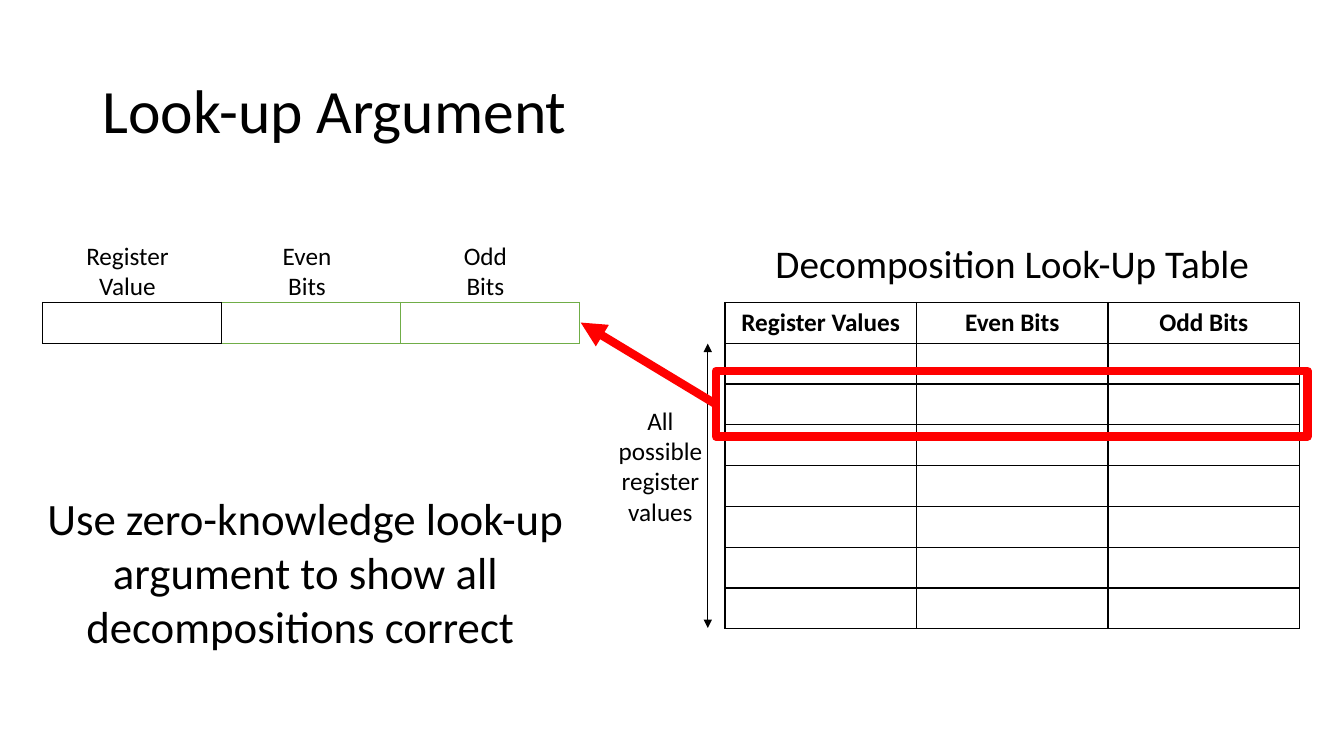
from lxml import etree
from pptx import Presentation
from pptx.dml.color import RGBColor
from pptx.enum.shapes import MSO_CONNECTOR, MSO_SHAPE
from pptx.enum.text import MSO_ANCHOR, PP_ALIGN
from pptx.oxml.ns import qn
from pptx.util import Pt

PX = 9144  # 100 px to the inch
FONT = "Calibri"
BLACK = RGBColor(0x00, 0x00, 0x00)
WHITE = RGBColor(0xFF, 0xFF, 0xFF)
GREEN = RGBColor(0x70, 0xAD, 0x47)
RED = RGBColor(0xFF, 0x00, 0x00)
LEFT, CENTER = PP_ALIGN.LEFT, PP_ALIGN.CENTER
TOP, MIDDLE = MSO_ANCHOR.TOP, MSO_ANCHOR.MIDDLE
STRAIGHT, RECT = MSO_CONNECTOR.STRAIGHT, MSO_SHAPE.RECTANGLE

TITLE = "Look-up Argument"
LABELS = [["Register Value"], ["Even", "Bits"], ["Odd", "Bits"]]
HEADS = ["Register Values", "Even Bits", "Odd Bits"]
NOTES = [  # box, size, text
    ((719, 233, 570, 57), 28, "Decomposition Look-Up Table"),
    ((599, 397, 112, 131), 18, "All possible register values"),
    ((35, 482, 536, 172), 32,
     "Use zero-knowledge look-up argument to show all decompositions correct "),
]
RECORD = (42, 300, 533, 41)
LOOKUP = (719, 300, 570, 324)
EMPTY = 7  # rows below the header
LABEL = (70, 233, 113, 71)
FRAME = (710, 368, 587, 65)
SPAN = (702, 341, 702, 623)
MATCH = (710, 401, 576, 320)


def emu(box):
    return [v * PX for v in box]


def style(para, size, align=CENTER, bold=False):
    para.alignment = align
    font = para.font
    font.name, font.size, font.bold = FONT, Pt(size), bold
    font.color.rgb = BLACK


def add_text(slide, box, size, lines, align=CENTER, anchor=TOP):
    frame = slide.shapes.add_textbox(*emu(box)).text_frame
    frame.word_wrap = True
    frame.vertical_anchor = anchor
    frame.text = "\n".join(lines)
    for para in frame.paragraphs:
        style(para, size, align)
    return frame


def edge(cell, colors):
    """Set 1 pt cell borders, colours in the order left, right, top, bottom."""
    props = cell._tc.get_or_add_tcPr()
    for spot, (side, color) in enumerate(zip("LRTB", colors)):
        line = etree.Element(qn(f"a:ln{side}"), w=str(Pt(1)))
        fill = etree.SubElement(line, qn("a:solidFill"))
        etree.SubElement(fill, qn("a:srgbClr"), val=str(color))
        props.insert(spot, line)


def add_grid(slide, box, rows, borders):
    """Add a white table; borders holds the edge colours of each column."""
    table = slide.shapes.add_table(rows, len(borders), *emu(box)).table
    table.first_row = table.horz_banding = False
    for row in table.rows:
        for cell, colors in zip(row.cells, borders):
            cell.fill.solid()
            cell.fill.fore_color.rgb = WHITE
            edge(cell, colors)
            style(cell.text_frame.paragraphs[0], 18)
    return table


def add_line(slide, ends, color, width, tips):
    link = slide.shapes.add_connector(STRAIGHT, *emu(ends))
    link.line.color.rgb = color
    link.line.width = Pt(width)
    for tip in tips:
        etree.SubElement(link.line._get_or_add_ln(), qn(f"a:{tip}"), type="triangle")
    etree.SubElement(link._element.spPr, qn("a:effectLst"))


def main():
    deck = Presentation()
    deck.slide_width, deck.slide_height = emu((1333, 750))
    slide = deck.slides.add_slide(deck.slide_layouts[6])

    title = add_text(slide, (92, 40, 1150, 145), 44, [TITLE], LEFT, MIDDLE)
    title.paragraphs[0].line_spacing = 0.9

    plain, green = [BLACK] * 4, [GREEN] * 4
    add_grid(slide, RECORD, 1, [plain, [BLACK] + green[1:], green])
    left, *rest = LABEL
    step = RECORD[2] / len(LABELS)
    for i, lines in enumerate(LABELS):
        add_text(slide, (round(left + i * step), *rest), 18, lines)

    table = add_grid(slide, LOOKUP, 1 + EMPTY, [plain] * len(HEADS))
    for cell, head in zip(table.rows[0].cells, HEADS):
        cell.text = head
        style(cell.text_frame.paragraphs[0], 18, bold=True)

    for box, size, text in NOTES:
        add_text(slide, box, size, [text])

    add_line(slide, SPAN, BLACK, 0.5, ["headEnd", "tailEnd"])
    frame = slide.shapes.add_shape(RECT, *emu(FRAME))
    frame.shadow.inherit = False
    frame.fill.background()
    frame.line.color.rgb = RED
    frame.line.width = Pt(6)
    add_line(slide, MATCH, RED, 6, ["tailEnd"])

    deck.save("out.pptx")


if __name__ == "__main__":
    main()
